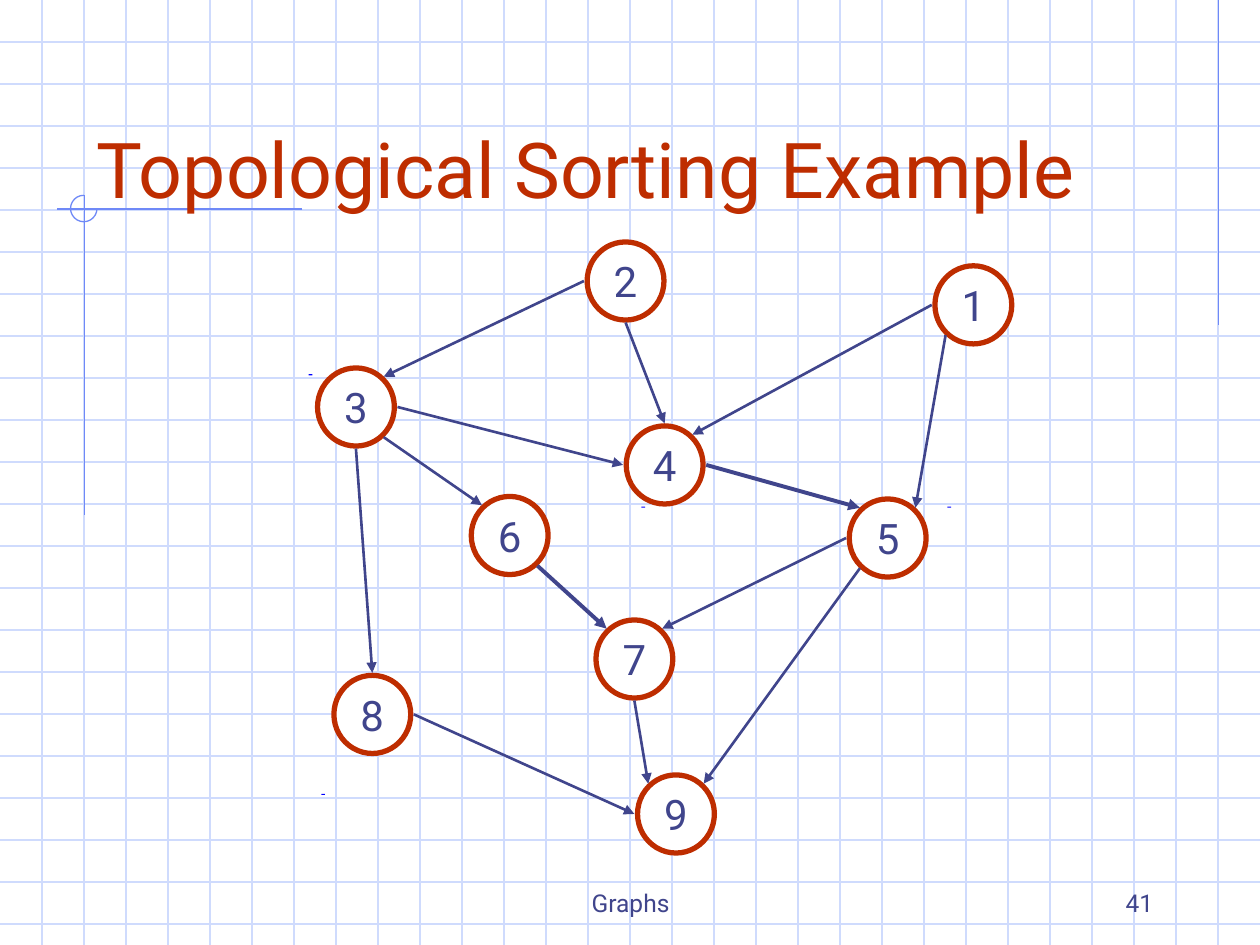
import pptx
import pptx.dml.color
import pptx.enum.shapes
import pptx.enum.text
import pptx.oxml
import pptx.oxml.ns
import pptx.util

Inches = pptx.util.Inches
Pt = pptx.util.Pt
SHAPES = pptx.enum.shapes.MSO_SHAPE
ALIGN = pptx.enum.text.PP_ALIGN
ANCHOR = pptx.enum.text.MSO_ANCHOR

WIDTH, HEIGHT = 10, 7.5
FONT = "Roboto"
RED, INK, GRID, RULE, DASH = "BE2D00", "40458C", "CFDBFD", "6F89F7", "0000FF"

# Text, left, top, width, height, size, colour, alignment
TEXTS = [
    ("Topological Sorting Example", 0.67, 0.5, 8.5, 1.25, 44, RED, ALIGN.LEFT),
    ("Graphs", 3.42, 6.83, 3.17, 0.5, 14, INK, ALIGN.CENTER),
    ("41", 7.17, 6.83, 2.08, 0.5, 14, INK, ALIGN.RIGHT),
]

# Left and top of each vertex
NODE_WIDTH, NODE_HEIGHT = 0.61, 0.62
NODES = {
    1: (7.42, 2.11), 2: (4.66, 1.92), 3: (2.52, 2.92),
    4: (4.97, 3.38), 5: (6.74, 3.96), 6: (3.74, 3.94),
    7: (4.73, 4.92), 8: (2.65, 5.36), 9: (5.06, 6.15),
}

# Where an edge meets a vertex, measured from its centre
SITES = {
    "N": (0, -0.33), "S": (0, 0.33), "W": (-0.33, 0), "E": (0.33, 0),
    "NW": (-0.22, -0.24), "NE": (0.22, -0.24),
    "SW": (-0.22, 0.24), "SE": (0.22, 0.24),
}

# From vertex and site, to vertex and site, line width
EDGES = [
    (2, "W", 3, "NE", 1.5), (2, "S", 4, "N", 1.5), (1, "W", 4, "NE", 1.5),
    (5, "W", 7, "NE", 1.5), (5, "SW", 9, "NE", 1.5), (8, "E", 9, "W", 1.5),
    (7, "S", 9, "NW", 1.5), (6, "SE", 7, "NW", 2.25), (3, "SE", 6, "NW", 1.5),
    (3, "S", 8, "N", 1.5), (3, "E", 4, "W", 1.5), (4, "E", 5, "NW", 2.25),
    (1, "SW", 5, "NE", 1.5),
]

RULES = [
    ((9.67, 0), (9.67, 2.58)),
    ((2.4, 1.66), (0.45, 1.66)),
    ((0.67, 1.55), (0.67, 4.09)),
]
DASHES = [(2.45, 2.97), (5.09, 4.02), (7.52, 4.02), (2.55, 6.3)]


def color(value):
    return pptx.dml.color.RGBColor.from_string(value)


def add_line(page, start, end, line_color, width, arrow=False):
    line = page.shapes.add_connector(
        pptx.enum.shapes.MSO_CONNECTOR.STRAIGHT,
        *(Inches(value) for value in start + end))
    line.line.color.rgb = color(line_color)
    line.line.width = Pt(width)
    properties = line.element.spPr
    if arrow:
        outline = properties.find(pptx.oxml.ns.qn("a:ln"))
        outline.append(pptx.oxml.parse_xml(
            f'<a:tailEnd {pptx.oxml.ns.nsdecls("a")} type="triangle"/>'))
    properties.append(pptx.oxml.parse_xml(
        f'<a:effectLst {pptx.oxml.ns.nsdecls("a")}/>'))


def add_shape(page, kind, left, top, width, height, fill=None, line=None, line_width=0.75):
    shape = page.shapes.add_shape(
        kind, Inches(left), Inches(top), Inches(width), Inches(height))
    shape.shadow.inherit = False
    if fill:
        shape.fill.solid()
        shape.fill.fore_color.rgb = color(fill)
    else:
        shape.fill.background()
    if line:
        shape.line.color.rgb = color(line)
        shape.line.width = Pt(line_width)
    else:
        shape.line.fill.background()
    return shape


def write(shape, text, size, text_color, align, anchor, wrap):
    frame = shape.text_frame
    frame.text = text
    frame.word_wrap = wrap
    frame.vertical_anchor = anchor
    para = frame.paragraphs[0]
    para.alignment = align
    font = para.runs[0].font
    font.name, font.size = FONT, Pt(size)
    font.color.rgb = color(text_color)


def site_point(node, site):
    left, top = NODES[node]
    across, down = SITES[site]
    return left + NODE_WIDTH / 2 + across, top + NODE_HEIGHT / 2 + down


def main():
    deck = pptx.Presentation()
    deck.slide_width, deck.slide_height = Inches(WIDTH), Inches(HEIGHT)
    page = deck.slides.add_slide(deck.slide_layouts[6])

    # Graph paper, three squares to the inch
    for step in range(1, 23):
        add_line(page, (0, step / 3), (WIDTH, step / 3), GRID, 0.75)
    for step in range(1, 30):
        add_line(page, (step / 3, 0), (step / 3, HEIGHT), GRID, 0.75)

    # Ruled corner with its three-quarter circle
    for start, end in RULES:
        add_line(page, start, end, RULE, 0.75)
    arc = add_shape(page, SHAPES.ARC, 0.56, 1.55, 0.21, 0.21, line=RULE)
    arc.adjustments[0] = 0
    arc.adjustments[1] = 162  # 270 degrees

    # Title and footer
    for text, left, top, width, height, size, text_color, align in TEXTS:
        box = page.shapes.add_textbox(
            Inches(left), Inches(top), Inches(width), Inches(height))
        write(box, text, size, text_color, align, ANCHOR.BOTTOM, True)

    # Small dashes
    for left, top in DASHES:
        add_shape(page, SHAPES.RECTANGLE, left, top, 0.03, 0.01, fill=DASH)

    # Graph
    for number, (left, top) in NODES.items():
        node = add_shape(page, SHAPES.OVAL, left, top, NODE_WIDTH, NODE_HEIGHT,
                         "FFFFFF", RED, 3)
        write(node, str(number), 24, INK, ALIGN.CENTER, ANCHOR.MIDDLE, False)
    for source, leave, target, arrive, width in EDGES:
        add_line(page, site_point(source, leave), site_point(target, arrive),
                 INK, width, arrow=True)

    deck.save("out.pptx")


if __name__ == "__main__":
    main()
